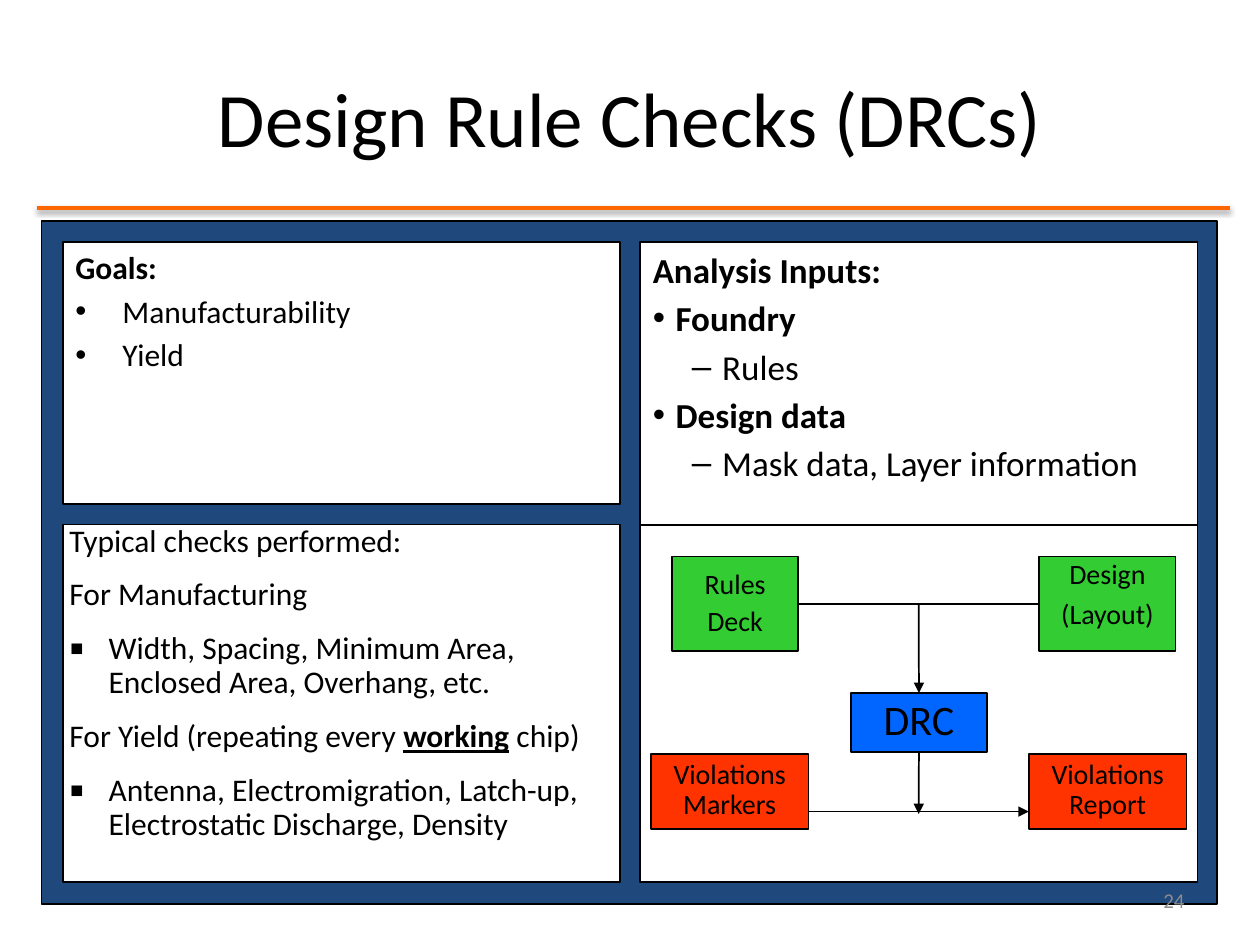
from dataclasses import dataclass
from typing import NamedTuple, Optional

import pptx
import pptx.dml.color
import pptx.enum.shapes
import pptx.enum.text
import pptx.oxml.ns
import pptx.util
from lxml import etree

Cm = pptx.util.Cm
Pt = pptx.util.Pt
RGBColor = pptx.dml.color.RGBColor
ALIGN = pptx.enum.text.PP_ALIGN
ANCHOR = pptx.enum.text.MSO_ANCHOR
qn = pptx.oxml.ns.qn

BLACK = RGBColor(0x00, 0x00, 0x00)
WHITE = RGBColor(0xFF, 0xFF, 0xFF)
NAVY = RGBColor(0x1F, 0x49, 0x7D)
ORANGE = RGBColor(0xFF, 0x66, 0x00)
GREEN = RGBColor(0x33, 0xCC, 0x33)
BLUE = RGBColor(0x00, 0x66, 0xFF)
RED = RGBColor(0xFF, 0x33, 0x00)
GRAY = RGBColor(0x8C, 0x8C, 0x8C)

FONT = "Calibri"
LEFT, GAP, COLUMN = 1.27, 0.43, 11.23
RIGHT = LEFT + COLUMN + GAP - 0.02
TOP, LOWER, LOWER_HEIGHT = 4.88, 10.58, 7.2


class Span(NamedTuple):
    text: str
    bold: bool = False
    underline: bool = False


@dataclass
class Para:
    spans: list[Span]
    bullet: str = ""
    margin: float = 0
    hanging: float = 0
    bullet_size: int = 100


@dataclass
class Style:
    size: float
    color: RGBColor = BLACK
    align: ALIGN = ALIGN.LEFT
    anchor: ANCHOR = ANCHOR.TOP
    line_spacing: float = 1.0
    before: float = 0
    insets: tuple = (0.25, 0.13, 0.25, 0.13)


class Box(NamedTuple):
    left: float
    top: float
    width: float
    height: float


def plain(*texts: str) -> list[Para]:
    """Return one unformatted paragraph per text."""
    return [Para([Span(text)]) for text in texts]


def item(text: str, bullet: str, margin: float, hanging: float,
         bold: bool = False, bullet_size: int = 100) -> Para:
    """Return a hanging paragraph of one span."""
    return Para([Span(text, bold)], bullet, margin, hanging, bullet_size)


def write(shape, paras: list[Para], style: Style) -> None:
    """Fill a shape's text frame with styled paragraphs."""
    frame = shape.text_frame
    left, top, right, bottom = (Cm(inset) for inset in style.insets)
    frame_format = {"word_wrap": True, "vertical_anchor": style.anchor,
                    "margin_left": left, "margin_top": top,
                    "margin_right": right, "margin_bottom": bottom}
    for name, value in frame_format.items():
        setattr(frame, name, value)
    for index, para in enumerate(paras):
        paragraph = frame.add_paragraph() if index else frame.paragraphs[0]
        para_format = {"alignment": style.align, "line_spacing": style.line_spacing,
                       "space_before": Pt(style.before)}
        for name, value in para_format.items():
            setattr(paragraph, name, value)
        properties = paragraph._p.get_or_add_pPr()
        properties.set("marL", str(Cm(para.margin)))
        properties.set("indent", str(-Cm(para.hanging)))
        if para.bullet:
            etree.SubElement(properties, qn("a:buSzPct"), val=str(para.bullet_size * 1000))
            etree.SubElement(properties, qn("a:buFont"), typeface="Arial")
            etree.SubElement(properties, qn("a:buChar"), char=para.bullet)
        for span in para.spans:
            run = paragraph.add_run()
            run.text = span.text
            run.font.color.rgb = style.color
            font_format = {"name": FONT, "size": Pt(style.size),
                           "bold": span.bold, "underline": span.underline}
            for name, value in font_format.items():
                setattr(run.font, name, value)


def add_box(page, box: Box, fill: RGBColor, paras: Optional[list[Para]] = None,
            style: Optional[Style] = None, line_width: float = 1):
    """Draw an outlined rectangle, with text if any is given."""
    shape = page.shapes.add_shape(pptx.enum.shapes.MSO_SHAPE.RECTANGLE,
                                  *(Cm(length) for length in box))
    shape.shadow.inherit = False
    shape.fill.solid()
    shape.fill.fore_color.rgb = fill
    shape.line.color.rgb = BLACK
    shape.line.width = Pt(line_width)
    if paras:
        write(shape, paras, style)
    return shape


def add_text(page, box: Box, paras: list[Para], style: Style) -> None:
    """Place a text box."""
    write(page.shapes.add_textbox(*(Cm(length) for length in box)), paras, style)


def add_line(page, start: tuple, end: tuple, color: RGBColor = BLACK,
             width: float = 1, arrow: bool = False, shadow: bool = False):
    """Draw a straight connector with an optional arrowhead and shadow."""
    line = page.shapes.add_connector(pptx.enum.shapes.MSO_CONNECTOR.STRAIGHT,
                                     *(Cm(length) for length in start + end))
    line.line.color.rgb = color
    line.line.width = Pt(width)
    if arrow:
        etree.SubElement(line.line._get_or_add_ln(), qn("a:tailEnd"), type="triangle")
    effects = etree.SubElement(line._element.spPr, qn("a:effectLst"))
    if shadow:
        outer = etree.SubElement(effects, qn("a:outerShdw"), blurRad=str(Pt(3.1)),
                                 dist=str(Pt(1.6)), dir="5400000", rotWithShape="0")
        tint = etree.SubElement(outer, qn("a:srgbClr"), val=str(BLACK))
        etree.SubElement(tint, qn("a:alpha"), val="38000")
    return line


def add_panels(page) -> None:
    """Draw the frame and its four panels."""
    add_box(page, Box(0.84, 4.45, 23.7, 13.77), NAVY)
    goals = [item("Goals:", "", 0.95, 0.95, True),
             item("Manufacturability", "•", 0.95, 0.95),
             item("Yield", "•", 0.95, 0.95)]
    add_box(page, Box(LEFT, TOP, COLUMN, 5.28), WHITE, goals, Style(18, before=3.2))
    inputs = [item("Analysis Inputs:", "", 0.46, 0.46, True),
              item("Foundry", "•", 0.46, 0.46, True),
              item("Rules", "–", 1.4, 0.61),
              item("Design data", "•", 0.46, 0.46, True),
              item("Mask data, Layer information", "–", 1.4, 0.61)]
    add_box(page, Box(RIGHT, TOP, COLUMN, 5.7), WHITE, inputs, Style(20, before=3.6))
    add_box(page, Box(RIGHT, LOWER, COLUMN, LOWER_HEIGHT), WHITE)
    checks = [*plain("Typical checks performed:", "For Manufacturing"),
              item("Width, Spacing, Minimum Area, Enclosed Area, Overhang, etc.",
                   "▪", 0.79, 0.79, bullet_size=135),
              Para([Span("For Yield (repeating every "), Span("working", True, True),
                    Span(" chip)")]),
              item("Antenna, Electromigration, Latch-up, Electrostatic Discharge, Density",
                   "▪", 0.79, 0.79, bullet_size=135)]
    add_box(page, Box(LEFT, LOWER, COLUMN, LOWER_HEIGHT), WHITE, checks,
            Style(18, line_spacing=0.9, before=11.4, insets=(0.13, 0, 0, 0.38)), 0.75)


def add_flow(page) -> None:
    """Draw the flow from rules and layout through DRC to the violations."""
    def label(size: float, spacing: float) -> Style:
        """Return the centred style of a flow box."""
        return Style(size, align=ALIGN.CENTER, line_spacing=spacing, before=7.8)

    middle, input_y, output_y = 18.52, 12.17, 16.36
    check = add_box(page, Box(17.15, 13.97, 2.75, 1.19), BLUE, plain("DRC"), label(24, 0.9))
    for left, text in ((13.12, "Violations Markers"), (20.74, "Violations Report")):
        add_box(page, Box(left, 15.2, 3.18, 1.52), RED, plain(text), label(16, 0.9))
    rules = add_box(page, Box(13.55, 11.22, 2.54, 1.9), GREEN, plain("Rules Deck"),
                    label(16, 1.1))
    design = add_box(page, Box(20.95, 11.22, 2.75, 1.9), GREEN,
                     plain("Design", "(Layout)"), label(16, 0.8))
    joined = add_line(page, (16.09, input_y), (20.95, input_y))
    joined.begin_connect(rules, 3)
    joined.end_connect(design, 1)
    add_line(page, (middle, input_y), (middle, 13.97), arrow=True).end_connect(check, 0)
    add_line(page, (middle, 15.16), (middle, 16.41), arrow=True).begin_connect(check, 2)
    add_line(page, (16.3, output_y), (20.74, output_y), arrow=True)


def main() -> None:
    """Build the slide and save it."""
    deck = pptx.Presentation()
    deck.slide_width, deck.slide_height = Cm(25.4), Cm(19.05)
    page = deck.slides.add_slide(deck.slide_layouts[6])
    add_line(page, (0.74, 4.19), (24.79, 4.19), ORANGE, 2, shadow=True)
    add_text(page, Box(LEFT, 0.76, 22.86, 3.18), plain("Design Rule Checks (DRCs)"),
             Style(44, align=ALIGN.CENTER, anchor=ANCHOR.MIDDLE))
    add_panels(page)
    add_flow(page)
    add_text(page, Box(18.2, 17.65, 5.93, 1.01), plain("24"),
             Style(12, GRAY, ALIGN.RIGHT, ANCHOR.MIDDLE))
    deck.save("out.pptx")


if __name__ == "__main__":
    main()
